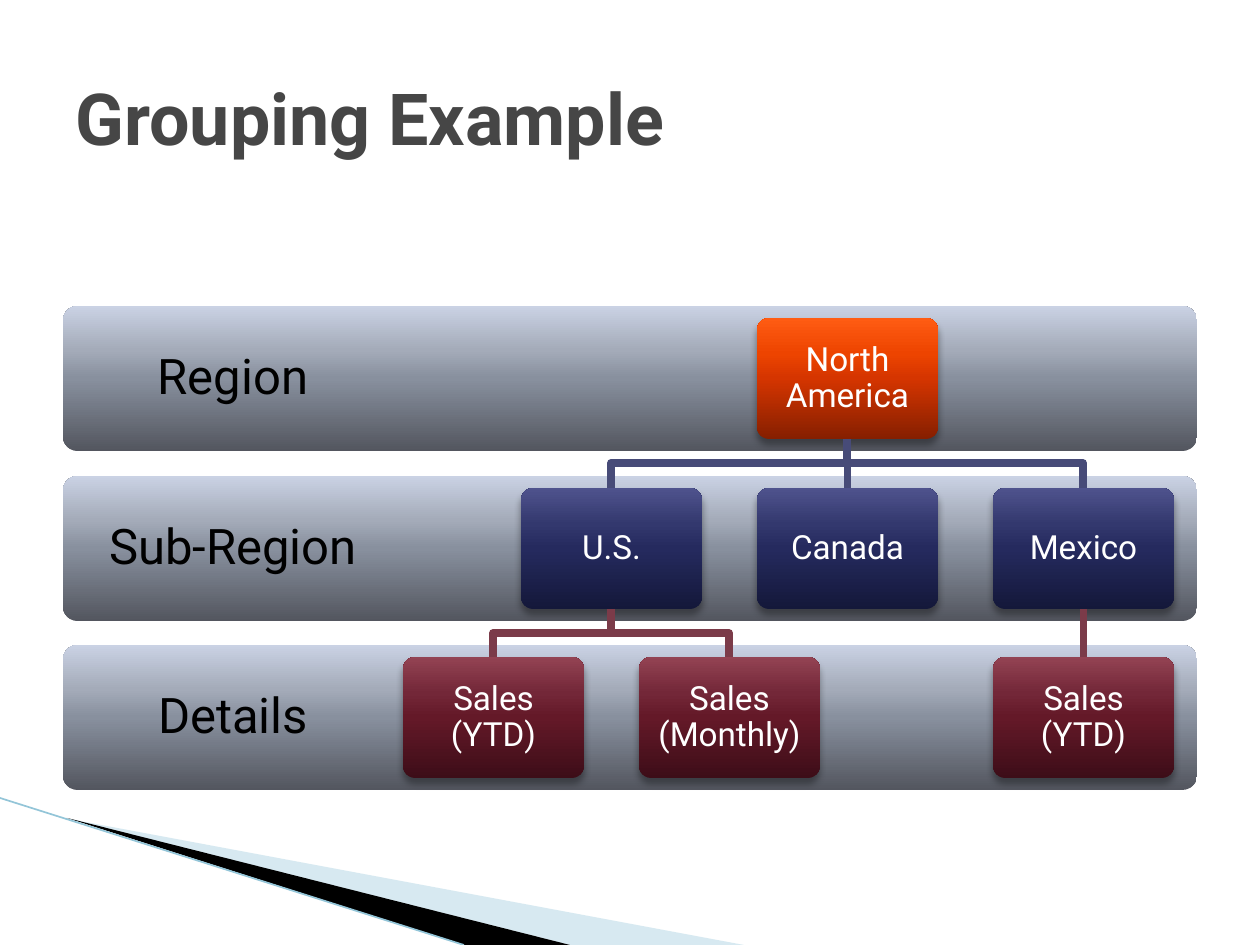
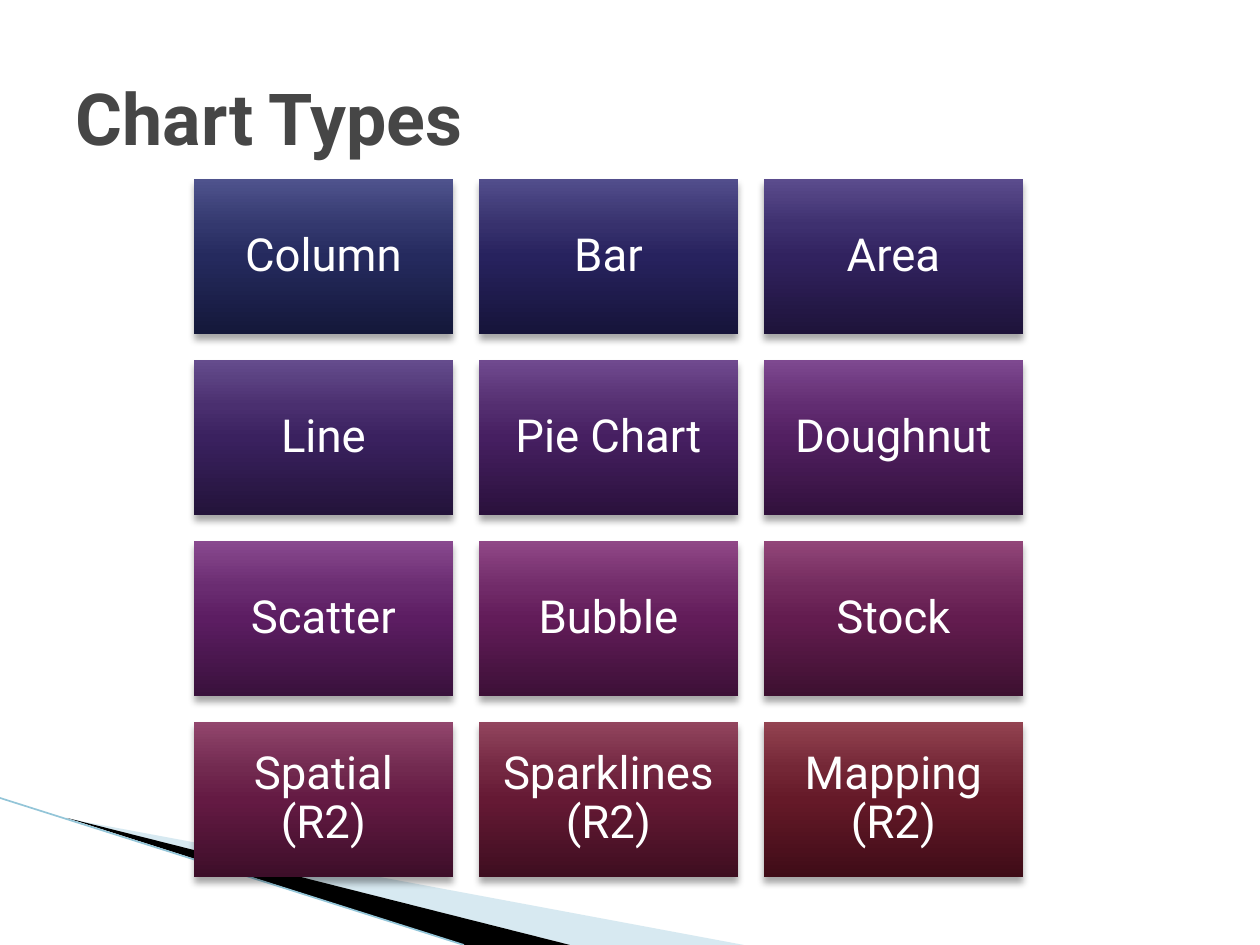
from dataclasses import dataclass
from typing import NamedTuple

from lxml.etree import SubElement
from pptx import Presentation
from pptx.dml.color import RGBColor
from pptx.enum.shapes import MSO_CONNECTOR, MSO_SHAPE
from pptx.enum.text import MSO_ANCHOR, MSO_AUTO_SIZE, PP_ALIGN
from pptx.oxml.ns import qn
from pptx.util import Emu, Pt

SCALE = 914400 / 126
WIDTH, HEIGHT = 1260, 945
TITLE_ONLY = 5
TOP, BOTTOM = 0, 2

Ramp = tuple[str, str, str, str]
Point = tuple[int, int]


@dataclass(frozen=True)
class Theme:
    """Colours, fonts and type sizes of the deck; ramps run from bottom to top."""

    font: str = "Roboto"
    title: str = "464646"
    dark: str = "000000"
    light: str = "FFFFFF"
    swoosh: str = "9CCADC"
    swoosh_line: str = "93C5D8"
    title_pt: int = 41
    level_pt: int = 28
    tile_pt: int = 26
    node_pt: int = 19
    link_pt: float = 4.33
    stops: tuple[int, ...] = (0, 50, 70, 100)
    band: Ramp = ("53565F", "88909E", "A4ABB9", "CAD2E4")
    region: Ramp = ("861F00", "D53500", "ED4400", "FF5C13")
    country: Ramp = ("14183A", "252A5E", "33386E", "4F538D")
    detail: Ramp = ("3D0D18", "641928", "732738", "934353")
    country_link: str = "474B78"
    detail_link: str = "7B3B49"


class Box(NamedTuple):
    """A rectangle in px."""

    x: int
    y: int
    w: int
    h: int


class Node(NamedTuple):
    """A box of the hierarchy: its half-column, level and parent index."""

    text: str
    column: int
    level: int
    parent: int | None = None


class Tile(NamedTuple):
    """A chart type and its colour ramp."""

    text: str
    ramp: Ramp


T = Theme()

LEVELS = ("Region", "Sub-Region", "Details")
LEVEL_TOPS = (306, 476, 645)
LEVEL_RAMPS = (T.region, T.country, T.detail)
LINK_COLOURS = (None, T.country_link, T.detail_link)
NODES = (
    Node("North America", 3, 0),
    Node("U.S.", 1, 1, 0),
    Node("Canada", 3, 1, 0),
    Node("Mexico", 5, 1, 0),
    Node("Sales (YTD)", 0, 2, 1),
    Node("Sales (Monthly)", 2, 2, 1),
    Node("Sales (YTD)", 5, 2, 3),
)
TILES = (
    Tile("Column", T.country),
    Tile("Bar", ("16143A", "27225E", "37316D", "524E8C")),
    Tile("Area", ("1E133A", "31225F", "3E306F", "5B4C8D")),
    Tile("Line", ("23133A", "3A215F", "4A2F6F", "654C8D")),
    Tile("Pie Chart", ("2A113C", "461F61", "542E70", "704A8F")),
    Tile("Doughnut", ("31113C", "521F61", "612C71", "7E4990")),
    Tile("Scatter", ("39113C", "5C1D62", "6A2C71", "89498F")),
    Tile("Bubble", ("3D1037", "621C59", "712B69", "904887")),
    Tile("Stock", ("3D1030", "631C4F", "722A5D", "924679")),
    Tile("Spatial (R2)", ("3D0E29", "641A43", "722A50", "92466D")),
    Tile("Sparklines (R2)", ("3E0E20", "651934", "742842", "92455E")),
    Tile("Mapping (R2)", ("3F0C17", "651928", "742736", "934351")),
)


def px(n: int) -> Emu:
    """Turn px into EMU."""
    return Emu(round(n * SCALE))


def place(box: Box) -> tuple[Emu, ...]:
    """Turn a box into EMU lengths."""
    return tuple(px(n) for n in box)


def rgb(colour: str) -> RGBColor:
    """Read a hex colour."""
    return RGBColor.from_string(colour)


def set_text(sp, text: str, size: int, colour: str, inset: int) -> None:
    """Write centred, wrapped text into a shape."""
    tf = sp.text_frame
    tf.word_wrap = True
    tf.vertical_anchor = MSO_ANCHOR.MIDDLE
    tf.margin_left = tf.margin_right = tf.margin_top = tf.margin_bottom = px(inset)
    p = tf.paragraphs[0]
    p.text = text
    p.alignment = PP_ALIGN.CENTER
    p.line_spacing = 0.9
    p.font.name, p.font.size, p.font.color.rgb = T.font, Pt(size), rgb(colour)


def add_panel(s, kind: MSO_SHAPE, box: Box, ramp: Ramp):
    """Add a shape with a vertical colour ramp and no outline."""
    sp = s.shapes.add_shape(kind, *place(box))
    if kind == MSO_SHAPE.ROUNDED_RECTANGLE:
        sp.adjustments[0] = 0.1
    sp.fill.gradient()
    sp.fill.gradient_angle = 90
    stops = sp._element.spPr.find(qn("a:gradFill")).find(qn("a:gsLst"))
    stops.clear()
    for pos, colour in zip(T.stops, ramp):
        gs = SubElement(stops, qn("a:gs"), pos=str(pos * 1000))
        SubElement(gs, qn("a:srgbClr"), val=colour)
    sp.line.fill.background()
    sp.shadow.inherit = False
    return sp


def add_card(s, kind: MSO_SHAPE, box: Box, ramp: Ramp, text: str, size: int, inset: int):
    """Add a labelled panel that casts a soft shadow."""
    sp = add_panel(s, kind, box, ramp)
    effects = sp._element.spPr.find(qn("a:effectLst"))
    shadow = SubElement(effects, qn("a:outerShdw"), blurRad=str(Pt(4)), dist=str(Pt(3)),
                        dir="5400000", rotWithShape="0")
    colour = SubElement(shadow, qn("a:srgbClr"), val=T.dark)
    SubElement(colour, qn("a:alpha"), val="35000")
    set_text(sp, text, size, T.light, inset)
    return sp


def add_path(s, points: list[Point], close: bool):
    """Add a freeform through the points."""
    builder = s.shapes.build_freeform(*points[0], scale=SCALE)
    builder.add_line_segments(points[1:], close=close)
    sp = builder.convert_to_shape()
    sp.shadow.inherit = False
    return sp


def add_line(s, start: Point, end: Point, colour: str, width: float):
    """Add a straight line without shadow."""
    c = s.shapes.add_connector(MSO_CONNECTOR.STRAIGHT, *(px(n) for n in start + end))
    c.line.color.rgb, c.line.width = rgb(colour), Pt(width)
    SubElement(c._element.spPr, qn("a:effectLst"))
    return c


def add_swoosh(s) -> None:
    """Draw the wedges in the lower left corner."""
    pale = add_path(s, [(69, 819), (744, HEIGHT), (570, HEIGHT)], True)
    black = add_path(s, [(67, 818), (570, HEIGHT), (464, HEIGHT)], True)
    for wedge, colour in ((pale, T.swoosh), (black, T.dark)):
        wedge.fill.solid()
        wedge.fill.fore_color.rgb = rgb(colour)
        wedge.line.fill.background()
    clr = pale._element.spPr.find(qn("a:solidFill"))[0]
    SubElement(clr, qn("a:alpha"), val="40000")
    add_line(s, (0, 798), (464, HEIGHT), T.swoosh_line, 0.95)


def add_slide(prs, title: str):
    """Add a slide with the shared title style and decoration."""
    s = prs.slides.add_slide(prs.slide_layouts[TITLE_ONLY])
    sp = s.shapes.title
    sp.left, sp.top, sp.width, sp.height = place(Box(63, 38, 1134, 157))
    tf = sp.text_frame
    tf.auto_size = MSO_AUTO_SIZE.NONE
    tf.vertical_anchor = MSO_ANCHOR.MIDDLE
    p = tf.paragraphs[0]
    p.text = title
    p.alignment = PP_ALIGN.LEFT
    p.font.name, p.font.size, p.font.bold = T.font, Pt(T.title_pt), True
    p.font.color.rgb = rgb(T.title)
    add_swoosh(s)
    return s


def node_box(node: Node) -> Box:
    """Find the place of a node from its column and level."""
    return Box(403 + 118 * node.column, LEVEL_TOPS[node.level] + 12, 181, 121)


def add_link(s, parent: Node, child: Node, parent_sp, child_sp) -> None:
    """Join a parent to a child, straight down or with two bends."""
    a, b = node_box(parent), node_box(child)
    start, end = (a.x + a.w // 2, a.y + a.h), (b.x + b.w // 2, b.y)
    colour = LINK_COLOURS[child.level]
    if parent.column == child.column:
        c = add_line(s, start, end, colour, T.link_pt)
        c.begin_connect(parent_sp, BOTTOM)
        c.end_connect(child_sp, TOP)
        return
    middle = (start[1] + end[1]) // 2
    elbow = add_path(s, [start, (start[0], middle), (end[0], middle), end], False)
    elbow.fill.background()
    elbow.line.color.rgb, elbow.line.width = rgb(colour), Pt(T.link_pt)


def add_grouping_slide(prs) -> None:
    """Build the hierarchy on its three level bands."""
    s = add_slide(prs, "Grouping Example")
    for level, top in zip(LEVELS, LEVEL_TOPS):
        add_panel(s, MSO_SHAPE.ROUNDED_RECTANGLE, Box(63, top, 1134, 145), T.band)
        label = s.shapes.add_textbox(*place(Box(63, top, 340, 145)))
        set_text(label, level, T.level_pt, T.dark, 28)
    cards = [add_card(s, MSO_SHAPE.ROUNDED_RECTANGLE, node_box(node),
                      LEVEL_RAMPS[node.level], node.text, T.node_pt, 10)
             for node in NODES]
    for node, card in zip(NODES, cards):
        if node.parent is not None:
            add_link(s, NODES[node.parent], node, cards[node.parent], card)


def add_chart_types_slide(prs) -> None:
    """Build the grid of chart types, three in a row."""
    s = add_slide(prs, "Chart Types")
    w, h, gap = 259, 155, 26
    for i, tile in enumerate(TILES):
        row, column = divmod(i, 3)
        box = Box(194 + column * (w + gap), 179 + row * (h + gap), w, h)
        add_card(s, MSO_SHAPE.RECTANGLE, box, tile.ramp, tile.text, T.tile_pt, 14)


def main() -> None:
    """Build and save the deck."""
    prs = Presentation()
    prs.slide_width, prs.slide_height = px(WIDTH), px(HEIGHT)
    add_grouping_slide(prs)
    add_chart_types_slide(prs)
    prs.save("out.pptx")


if __name__ == "__main__":
    main()
